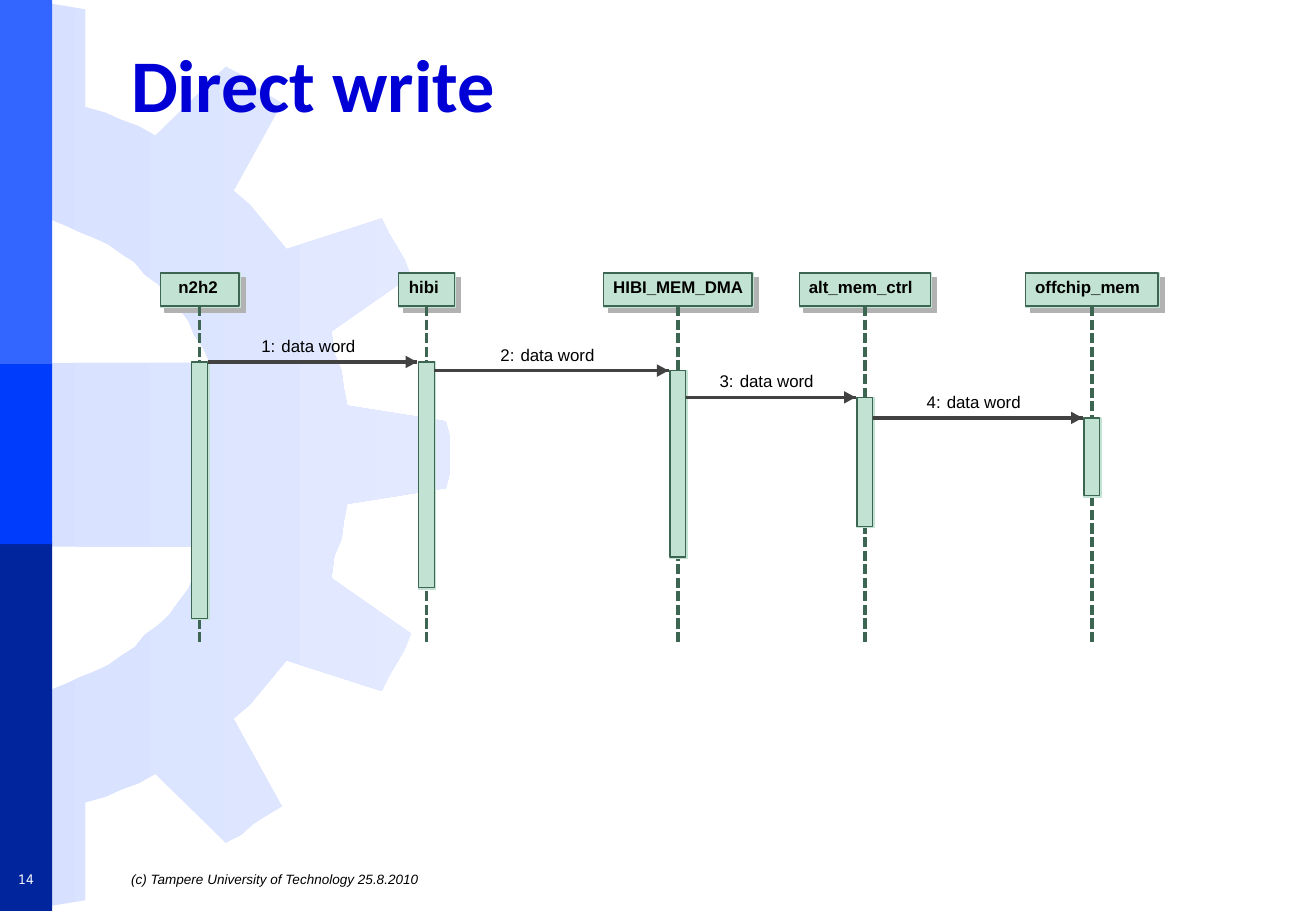
from itertools import pairwise

from lxml.etree import SubElement
from pptx import Presentation
from pptx.dml.color import RGBColor
from pptx.enum.dml import MSO_LINE
from pptx.enum.shapes import MSO_CONNECTOR, MSO_SHAPE
from pptx.enum.text import MSO_ANCHOR, PP_ALIGN
from pptx.oxml.ns import qn
from pptx.util import Cm, Pt

COLORS = {
    "gear_left": "D7E1FF", "gear_right": "E3EAFF",
    "band_top": "3366FF", "band_middle": "003CFC", "band_bottom": "00259C",
    "title": "0000D6", "text": "000000", "number": "FFFFFF",
    "shade": "B2B2B2", "mint": "C2E3D3", "edge": "3D6652", "arrow": "424242",
}

GEAR_AXIS = 9.51
GEAR_UPPER_HALF = [
    (9.4, 9.47), (9.4, 9.12), (9.32, 8.81), (7.26, 8.48), (7.19, 8.13),
    (7.14, 7.75), (6.99, 7.39), (6.93, 6.93), (8.59, 5.77), (8.46, 5.44),
    (8.31, 5.18), (8.13, 4.88), (7.98, 4.57), (5.99, 5.21), (5.72, 4.88),
    (5.46, 4.57), (5.23, 4.29), (4.88, 3.99), (5.89, 2.16), (5.56, 1.96),
    (5.28, 1.78), (5.05, 1.57), (4.72, 1.4), (3.25, 2.84), (2.9, 2.64),
    (2.54, 2.51), (2.21, 2.36), (1.78, 2.24), (1.78, 0.2), (1.4, 0.13),
    (1.07, 0.08), (0.74, 0.03), (0.36, 0), (0.36, 4.47), (0.71, 4.57),
    (1.07, 4.6), (1.37, 4.72), (1.65, 4.85), (1.98, 4.98), (2.26, 5.11),
    (2.54, 5.31), (2.82, 5.49), (3.02, 5.74), (3.3, 5.94), (3.53, 6.15),
    (3.73, 6.43), (3.94, 6.71), (4.06, 7.01), (4.24, 7.26), (4.39, 7.59),
    (0, 7.59),
]

# name, head left, head width, label inset, bar top
LIFELINES = [
    ("n2h2", 3.35, 1.65, 0.38, 7.57),
    ("hibi", 8.33, 1.17, 0.22, 7.57),
    ("HIBI_MEM_DMA", 12.62, 3.1, 0.2, 7.75),
    ("alt_mem_ctrl", 16.71, 2.74, 0.2, 8.31),
    ("offchip_mem", 21.44, 2.77, 0.2, 8.74),
]
HEAD_TOP, HEAD_HEIGHT = 5.71, 0.69
LINE_TOP, LINE_BOTTOM = 6.4, 13.44
BAR_WIDTH, LOWEST_BAR_END, BAR_END_STEP = 0.33, 12.93, 0.64


def color(name):
    """Return the named colour."""
    return RGBColor.from_string(COLORS[name])


def add_rect(shapes, left, top, width, height, fill, edge=None):
    """Add a plain rectangle, with a hairline edge if a colour is given."""
    rect = shapes.add_shape(MSO_SHAPE.RECTANGLE, Cm(left), Cm(top), Cm(width), Cm(height))
    rect.shadow.inherit = False
    rect.fill.solid()
    rect.fill.fore_color.rgb = color(fill)
    if edge:
        rect.line.color.rgb = color(edge)
        rect.line.width = 0
    else:
        rect.line.fill.background()


def add_framed_rect(shapes, left, top, width, height):
    """Add a mint rectangle with an edge and a thin rim at right and bottom."""
    add_rect(shapes, left, top, width + 0.03, height + 0.03, "mint", "mint")
    add_rect(shapes, left, top, width, height, "mint", "edge")


def add_text(shapes, text, left, top, width, height, *, size=10, font="Arial",
             ink="text", bold=False, italic=False, align=PP_ALIGN.LEFT,
             anchor=MSO_ANCHOR.TOP, inset=0, wrap=False):
    """Add a text box with one formatted span."""
    box = shapes.add_textbox(Cm(left), Cm(top), Cm(width), Cm(height))
    frame = box.text_frame
    frame.word_wrap = wrap
    frame.vertical_anchor = anchor
    frame.margin_left = frame.margin_right = Cm(inset)
    frame.margin_top = frame.margin_bottom = Cm(inset / 2)
    para = frame.paragraphs[0]
    para.alignment = align
    span = para.add_run()
    span.text = text
    span.font.size = Pt(size)
    span.font.name = font
    span.font.bold = bold
    span.font.italic = italic
    span.font.color.rgb = color(ink)


def add_line(shapes, start, end, ink, dash=None):
    """Add a hairline connector between two points."""
    line = shapes.add_connector(MSO_CONNECTOR.STRAIGHT, *map(Cm, start + end))
    line.line.color.rgb = color(ink)
    line.line.width = 0
    if dash:
        line.line.dash_style = dash
    SubElement(line._element.spPr, qn("a:effectLst"))


def add_outline(shapes, points):
    """Add a closed freeform without a line and return it."""
    corners = [(Cm(x), Cm(y)) for x, y in points]
    builder = shapes.build_freeform(*corners[0])
    builder.add_line_segments(corners[1:], close=True)
    outline = builder.convert_to_shape()
    outline.shadow.inherit = False
    outline.line.fill.background()
    return outline


def add_background(shapes):
    """Add the half gear and the three blue bands at the left edge."""
    lower = [(x, 2 * GEAR_AXIS - y) for x, y in reversed(GEAR_UPPER_HALF)]
    gear = add_outline(shapes, GEAR_UPPER_HALF + lower)
    gear.fill.gradient()
    gear.fill.gradient_angle = 0
    for stop, name in zip(gear.fill.gradient_stops, ("gear_left", "gear_right")):
        stop.color.rgb = color(name)
    for name, top, end in (("band_top", 0, 7.6), ("band_bottom", 11.35, 19.05),
                           ("band_middle", 7.6, 11.38)):
        add_rect(shapes, 0, top, 1.09, end - top, name)


def add_lifeline(shapes, name, left, width, inset, bar_top, bar_end):
    """Add one participant: head, dashed line and activation bar."""
    axis = left + width / 2
    add_rect(shapes, left + 0.1, HEAD_TOP + 0.1, width + 0.03, HEAD_HEIGHT + 0.03,
             "shade", "shade")
    add_framed_rect(shapes, left, HEAD_TOP, width, HEAD_HEIGHT)
    add_text(shapes, name, left + inset, 5.79, width, 0.61, bold=True)
    add_line(shapes, (axis, LINE_TOP), (axis, LINE_BOTTOM), "edge", MSO_LINE.SQUARE_DOT)
    add_framed_rect(shapes, axis - BAR_WIDTH / 2, bar_top, BAR_WIDTH, bar_end - bar_top)


def add_message(shapes, number, source_axis, target_axis, level):
    """Add a numbered message arrow between two activation bars."""
    start, tip = source_axis + BAR_WIDTH / 2, target_axis - BAR_WIDTH / 2 - 0.03
    add_line(shapes, (start, level), (tip, level), "arrow")
    head = add_outline(shapes, [(tip - 0.24, level - 0.13), (tip, level),
                                (tip - 0.24, level + 0.13)])
    head.fill.solid()
    head.fill.fore_color.rgb = color("arrow")
    label_left = (source_axis + target_axis) / 2 - 1.08
    add_text(shapes, f"{number}:", label_left, level - 0.55, 0.69, 0.61)
    add_text(shapes, "data word", label_left + 0.42, level - 0.55, 2, 0.61)


def main():
    """Build and save the sequence diagram slide."""
    deck = Presentation()
    deck.slide_width, deck.slide_height = Cm(27.51), Cm(19.05)
    page = deck.slides.add_slide(deck.slide_layouts[6])
    shapes = page.shapes

    add_background(shapes)
    add_text(shapes, "Direct write", 2.49, 0.53, 23.85, 2.39, size=44, font="Calibri",
             ink="title", bold=True, anchor=MSO_ANCHOR.MIDDLE, inset=0.25, wrap=True)
    add_text(shapes, "(c) Tampere University of Technology 25.8.2010", 2.49, 18.06,
             23.85, 0.66, size=8, italic=True, anchor=MSO_ANCHOR.MIDDLE, inset=0.25,
             wrap=True)
    add_text(shapes, "14", 0, 18.06, 1.09, 0.66, size=8, font="Noto Sans Mono",
             ink="number", align=PP_ALIGN.CENTER, anchor=MSO_ANCHOR.MIDDLE, wrap=True)

    for index, lifeline in enumerate(LIFELINES):
        group = shapes.add_group_shape()
        add_lifeline(group.shapes, *lifeline, LOWEST_BAR_END - index * BAR_END_STEP)
    stops = [(left + width / 2, top) for _, left, width, _, top in LIFELINES]
    for number, (source, target) in enumerate(pairwise(stops), start=1):
        group = shapes.add_group_shape()
        add_message(group.shapes, number, source[0], *target)

    deck.save("out.pptx")


main()
